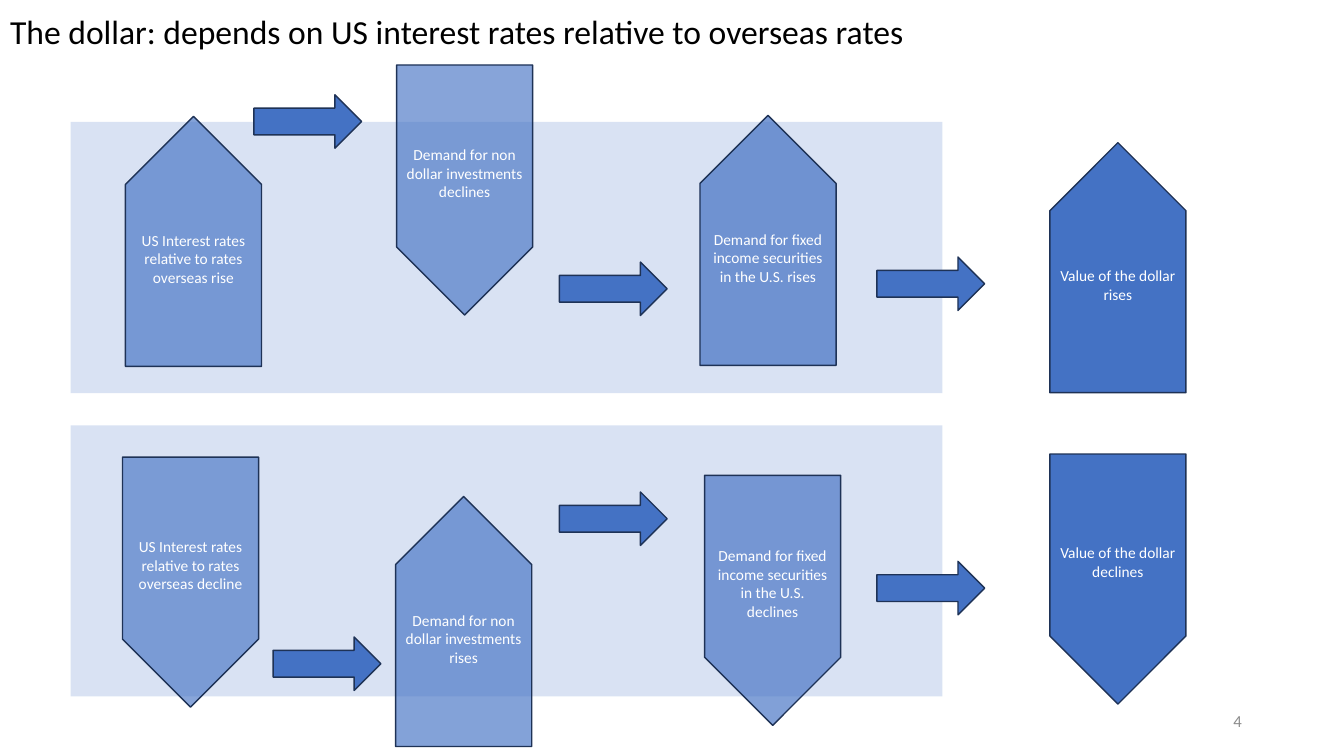
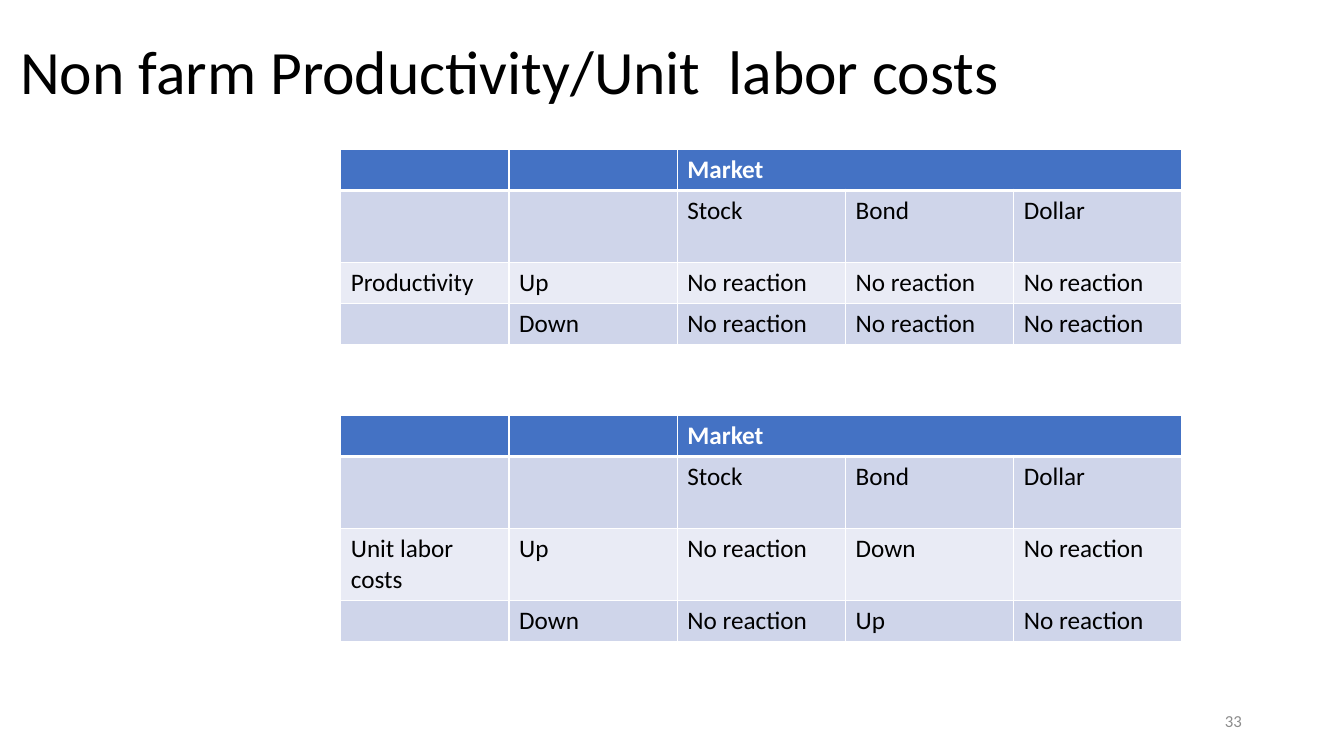
from lxml import etree
from pptx import Presentation
from pptx import util as u
from pptx.dml import color
from pptx.enum import shapes, text
from pptx.oxml import ns

Pt = u.Pt
COLORS = {
    "blue": "4472C4",
    "outline": "1E3256",
    "band_dark": "CFD5EA",
    "band_light": "E9EBF5",
    "white": "FFFFFF",
    "black": "000000",
    "gray": "8C8C8C",
}
FONT = "Calibri"
PLATE_LENGTH, PLATE_WIDTH = 178.6, 97.2
ARROW_SIZE = (77, 38.2)
ROW_HEIGHT, TALL_ROW_HEIGHT = 29.2, 51.4
COLUMN_WIDTH = 120.2


def rgb(name):
    return color.RGBColor.from_string(COLORS[name])


def write(frame, words, size=18, color_name="black", bold=False,
          align=text.PP_ALIGN.LEFT, line_spacing=None):
    paragraph = frame.paragraphs[0]
    paragraph.alignment = align
    paragraph.line_spacing = line_spacing
    run = paragraph.add_run()
    run.text = words
    run.font.name = FONT
    run.font.size = Pt(size)
    run.font.bold = bold
    run.font.color.rgb = rgb(color_name)


def set_borders(cell, **widths):
    """Draw white cell borders; sides are given in the order L, R, T, B."""
    properties = cell._tc.get_or_add_tcPr()
    for side, width in widths.items():
        line = etree.SubElement(properties, ns.qn(f"a:ln{side}"), w=str(Pt(width)))
        fill = etree.SubElement(line, ns.qn("a:solidFill"))
        etree.SubElement(fill, ns.qn("a:srgbClr"), val=COLORS["white"])


class Deck:
    def __init__(self):
        self.presentation = Presentation()
        self.presentation.slide_width = Pt(960)
        self.presentation.slide_height = Pt(540)
        self.slide = None

    def add_slide(self, title, number, left, top, height, size):
        self.slide = self.presentation.slides.add_slide(
            self.presentation.slide_layouts[5])
        shape = self.slide.shapes.title
        shape.left, shape.top = Pt(left), Pt(top)
        shape.width, shape.height = Pt(828), Pt(height)
        frame = shape.text_frame
        frame.auto_size = text.MSO_AUTO_SIZE.NONE
        frame.vertical_anchor = text.MSO_ANCHOR.MIDDLE
        write(frame, title, size=size, line_spacing=0.9)
        self.add_number(number)

    def add_number(self, number):
        box = self.slide.shapes.add_textbox(Pt(678.2), Pt(500.4), Pt(216), Pt(28.8))
        frame = box.text_frame
        frame.word_wrap = True
        frame.vertical_anchor = text.MSO_ANCHOR.MIDDLE
        write(frame, str(number), size=12, color_name="gray",
              align=text.PP_ALIGN.RIGHT)

    def add_shape(self, kind, left, top, width, height, opacity=100, outlined=True):
        shape = self.slide.shapes.add_shape(
            kind, Pt(left), Pt(top), Pt(width), Pt(height))
        shape.shadow.inherit = False
        shape.fill.solid()
        shape.fill.fore_color.rgb = rgb("blue")
        if opacity < 100:
            fill_color = shape._element.spPr.find(".//" + ns.qn("a:srgbClr"))
            etree.SubElement(fill_color, ns.qn("a:alpha"), val=str(opacity * 1000))
        if outlined:
            shape.line.color.rgb = rgb("outline")
            shape.line.width = Pt(1)
        else:
            shape.line.fill.background()
        return shape

    def add_band(self, top):
        self.add_shape(shapes.MSO_SHAPE.RECTANGLE, 50.4, top, 622.8, 193.7,
                       opacity=20, outlined=False)

    def add_arrow(self, left, top):
        self.add_shape(shapes.MSO_SHAPE.RIGHT_ARROW, left, top, *ARROW_SIZE)

    def add_plate(self, words, center_x, center_y, rising, opacity=100):
        """Add a plate that points up or down, with upright text."""
        shape = self.add_shape(
            shapes.MSO_SHAPE.PENTAGON, center_x - PLATE_LENGTH / 2,
            center_y - PLATE_WIDTH / 2, PLATE_LENGTH, PLATE_WIDTH, opacity)
        shape.rotation = 270 if rising else 90
        frame = shape.text_frame
        frame.word_wrap = True
        frame.vertical_anchor = text.MSO_ANCHOR.MIDDLE
        frame._txBody.bodyPr.set("vert", "vert" if rising else "vert270")
        write(frame, words, size=11, color_name="white",
              align=text.PP_ALIGN.CENTER)

    def add_market_table(self, top, rows, row_heights):
        rows = [["", "", "Market", "", ""],
                ["", "", "Stock", "Bond", "Dollar"]] + rows
        columns = len(rows[0])
        table = self.slide.shapes.add_table(
            len(rows), columns, Pt(243.4), Pt(top),
            Pt(COLUMN_WIDTH * columns), Pt(sum(row_heights))).table
        for column in table.columns:
            column.width = Pt(COLUMN_WIDTH)
        for row, height in zip(table.rows, row_heights):
            row.height = Pt(height)
        table.cell(0, 2).merge(table.cell(0, 4))
        for row_index, row in enumerate(rows):
            header = row_index == 0
            fill_name = "blue" if header else (
                "band_dark" if row_index % 2 else "band_light")
            for column_index, words in enumerate(row):
                cell = table.cell(row_index, column_index)
                set_borders(cell, L=1, R=1, T=3 if row_index == 1 else 1,
                            B=3 if header else 1)
                cell.fill.solid()
                cell.fill.fore_color.rgb = rgb(fill_name)
                if words:
                    write(cell.text_frame, words, bold=header,
                          color_name="white" if header else "black")


def build_dollar_slide(deck):
    deck.add_slide("The dollar: depends on US interest rates relative to overseas rates",
                   4, left=0, top=0.7, height=46.8, size=24)
    scenarios = [
        (87.1,
         [("US Interest rates relative to rates overseas rise", 138.2, 172.4, True, 66),
          ("Demand for non dollar investments declines", 331.9, 135.7, False, 64),
          ("Demand for fixed income securities in the U.S. rises", 548.6, 171.7, True, 71),
          ("Value of the dollar rises", 798.5, 191.2, True)],
         [(181.4, 67.7), (399.6, 187.2), (626.4, 183.6)]),
        (303.8,
         [("US Interest rates relative to rates overseas decline", 136.1, 415.8, False, 63),
          ("Demand for non dollar investments rises", 331.2, 443.9, True, 66),
          ("Demand for fixed income securities in the U.S. declines", 551.9, 428.8, False, 67),
          ("Value of the dollar declines", 798.5, 413.6, False)],
         [(195.1, 455), (399.6, 351.4), (626.4, 401)]),
    ]
    for band_top, plates, arrows in scenarios:
        deck.add_band(band_top)
        for plate in plates:
            deck.add_plate(*plate)
        for arrow in arrows:
            deck.add_arrow(*arrow)


def build_productivity_slide(deck):
    deck.add_slide("Non farm Productivity/Unit  labor costs",
                   33, left=7.2, top=1.4, height=104.4, size=44)
    same = "No reaction"
    deck.add_market_table(
        106.9,
        [["Productivity", "Up", same, same, same],
         ["", "Down", same, same, same]],
        [ROW_HEIGHT, TALL_ROW_HEIGHT, ROW_HEIGHT, ROW_HEIGHT])
    deck.add_market_table(
        296.9,
        [["Unit labor costs", "Up", same, "Down", same],
         ["", "Down", same, "Up", same]],
        [ROW_HEIGHT, TALL_ROW_HEIGHT, TALL_ROW_HEIGHT, ROW_HEIGHT])


def main():
    deck = Deck()
    build_dollar_slide(deck)
    build_productivity_slide(deck)
    deck.presentation.save("out.pptx")


if __name__ == "__main__":
    main()
